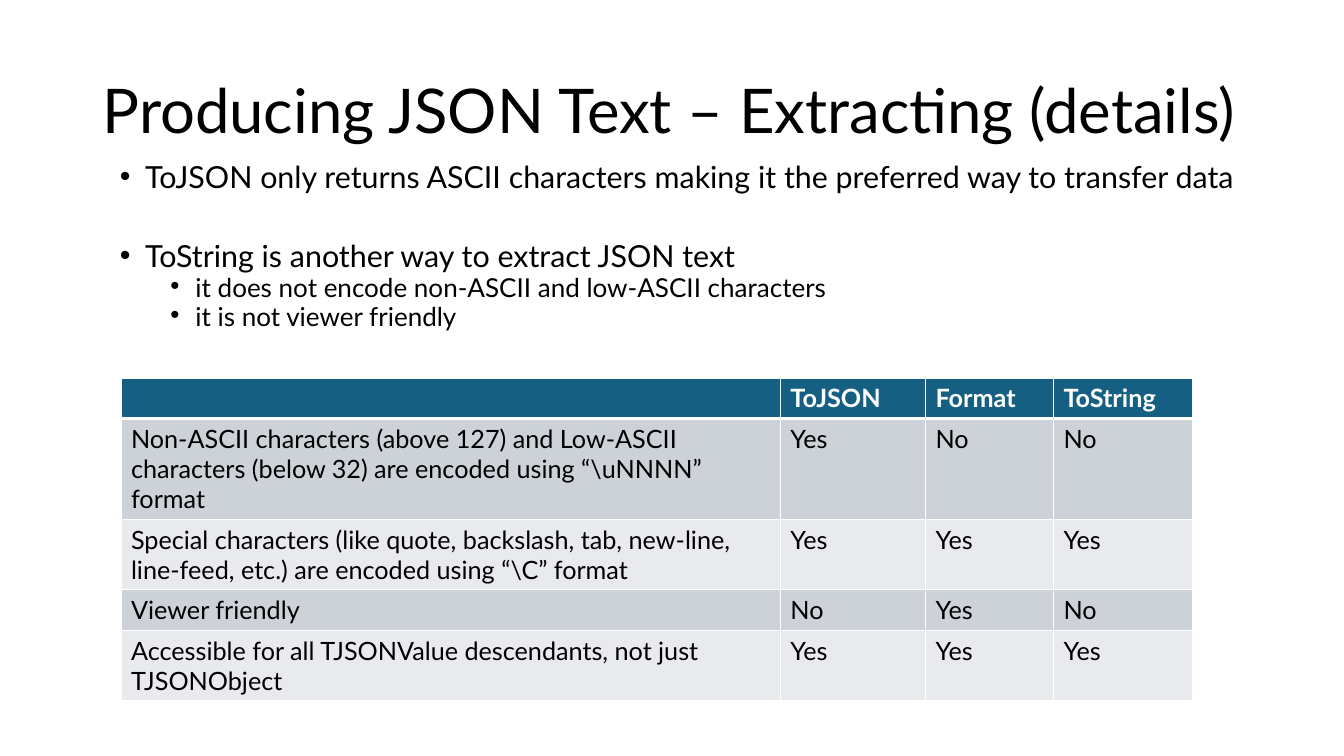
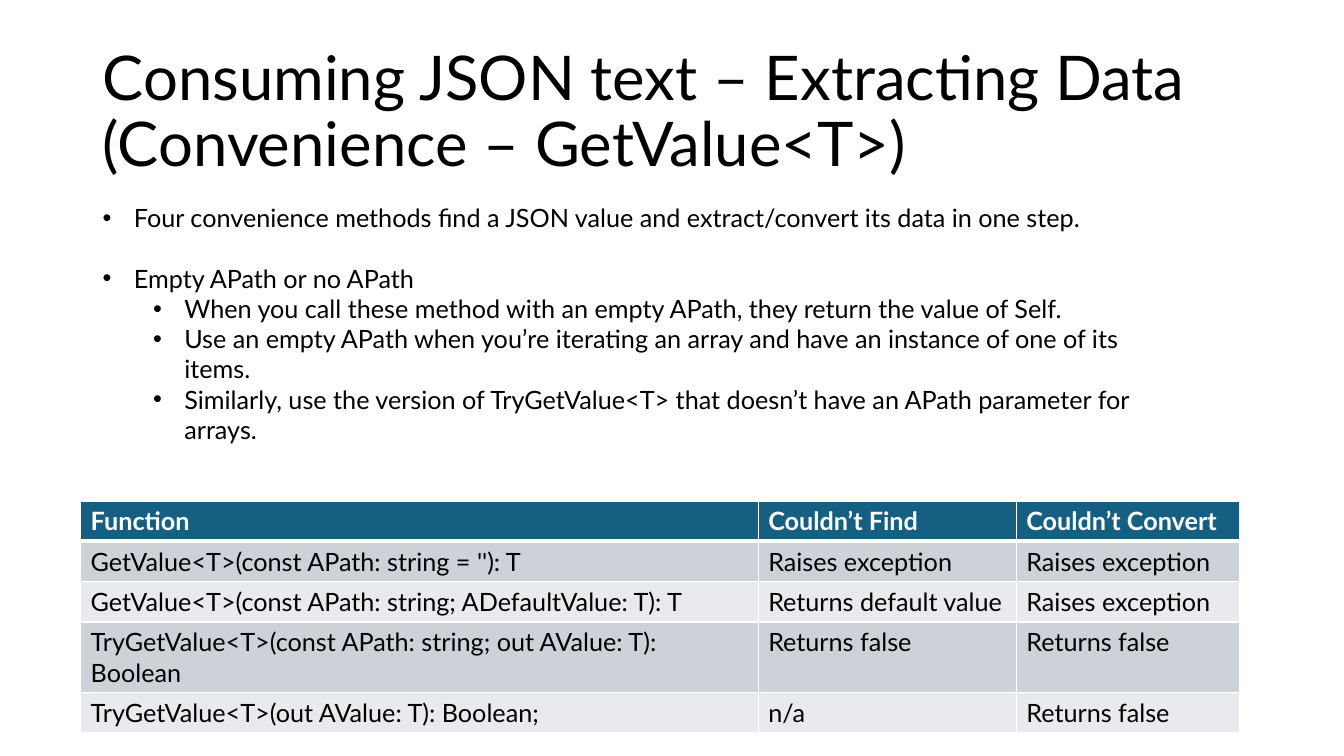
from lxml import etree
from pptx import Presentation
from pptx.dml.color import RGBColor
from pptx.enum import text as te
from pptx.oxml import ns
from pptx.util import Inches, Pt

FONT = "Lato"
BLACK = RGBColor(0x00, 0x00, 0x00)
WHITE = RGBColor(0xFF, 0xFF, 0xFF)
TEAL = RGBColor(0x15, 0x60, 0x82)
BANDS = RGBColor(0xCC, 0xD2, 0xD8), RGBColor(0xE8, 0xEA, 0xED)
TITLE = 0.92, 0.4, 11.5, 1.45
ROW = 0.4

# Each point: level, text, starts a new group.
# Styles hold one value per level; gap is the space before a new group.
SLIDES = [
    dict(
        title="Producing JSON Text – Extracting (details)",
        points=[
            (0, "ToJSON only returns ASCII characters making it the preferred way to transfer data", False),
            (0, "ToString is another way to extract JSON text", True),
            (1, "it does not encode non-ASCII and low-ASCII characters", False),
            (1, "it is not viewer friendly", False),
        ],
        box=(1.09, 1.62, 11.85, 1.91),
        style=dict(sizes=(21.7, 18.6), before=(10, 5), gap=38.2, line=0.7, hang=0.25),
        spot=(1.2, 3.75),
        cols=(6.54, 1.44, 1.27, 1.38),
        rows=[
            ("", "ToJSON", "Format", "ToString"),
            (r"Non-ASCII characters (above 127) and Low-ASCII characters (below 32) are encoded using “\uNNNN” format",
             "Yes", "No", "No"),
            (r"Special characters (like quote, backslash, tab, new-line, line-feed, etc.) are encoded using “\C” format",
             "Yes", "Yes", "Yes"),
            ("Viewer friendly", "No", "Yes", "No"),
            ("Accessible for all TJSONValue descendants, not just TJSONObject", "Yes", "Yes", "Yes"),
        ],
    ),
    dict(
        title="Consuming JSON text – Extracting Data (Convenience – GetValue<T>)",
        points=[
            (0, "Four convenience methods find a JSON value and extract/convert its data in one step.", False),
            (0, "Empty APath or no APath", True),
            (1, "When you call these method with an empty APath, they return the value of Self.", False),
            (1, "Use an empty APath when you’re iterating an array and have an instance of one of its items.", False),
            (1, "Similarly, use the version of TryGetValue<T> that doesn’t have an APath parameter for arrays.", False),
        ],
        box=(0.92, 1.96, 10.55, 3.13),
        style=dict(sizes=(18, 18), before=(0, 0), gap=21.6, line=1.0, hang=0.31),
        spot=(0.8, 4.97),
        cols=(6.72, 2.56, 2.22),
        rows=[
            ("Function", "Couldn’t Find", "Couldn’t Convert"),
            ("GetValue<T>(const APath: string = ''): T", "Raises exception", "Raises exception"),
            ("GetValue<T>(const APath: string; ADefaultValue: T): T", "Returns default value", "Raises exception"),
            ("TryGetValue<T>(const APath: string; out AValue: T): Boolean", "Returns false", "Returns false"),
            ("TryGetValue<T>(out AValue: T): Boolean;", "n/a", "Returns false"),
        ],
    ),
]


def write(para, words, size=18, color=BLACK, bold=False, line=None, before=None):
    run = para.add_run()
    run.text = words
    font = run.font
    font.name, font.size, font.bold = FONT, Pt(size), bold
    font.color.rgb = color
    if line is not None:
        para.line_spacing = line
    if before is not None:
        para.space_before = Pt(before)


def add_box(slide, place, anchor=te.MSO_ANCHOR.TOP):
    frame = slide.shapes.add_textbox(*map(Inches, place)).text_frame
    frame.word_wrap = True
    frame.vertical_anchor = anchor
    return frame


def add_bullet(para, level, hang):
    """Hang a bullet; each level moves in by half an inch."""
    para.level = level
    props = para._p.get_or_add_pPr()
    props.set("marL", str(Inches(hang + 0.5 * level)))
    props.set("indent", str(-Inches(hang)))
    etree.SubElement(props, ns.qn("a:buFont")).set("typeface", "Arial")
    etree.SubElement(props, ns.qn("a:buChar")).set("char", "•")


def add_points(slide, points, box, style):
    frame = add_box(slide, box)
    for i, (level, words, fresh) in enumerate(points):
        para = frame.add_paragraph() if i else frame.paragraphs[0]
        before = style["gap"] if fresh else style["before"][level]
        write(para, words, size=style["sizes"][level], line=style["line"], before=before)
        add_bullet(para, level, style["hang"])


def add_edges(cell, row):
    """Draw white cell edges, thicker below the heading row."""
    props = cell._tc.get_or_add_tcPr()
    widths = dict(L=1, R=1, T=3 if row == 1 else 1, B=3 if row == 0 else 1)
    for i, (side, width) in enumerate(widths.items()):
        edge = etree.Element(ns.qn("a:ln" + side), w=str(Pt(width)))
        fill = etree.SubElement(edge, ns.qn("a:solidFill"))
        etree.SubElement(fill, ns.qn("a:srgbClr")).set("val", str(WHITE))
        props.insert(i, edge)


def add_grid(slide, spot, cols, rows):
    size = sum(cols), ROW * len(rows)
    grid = slide.shapes.add_table(len(rows), len(cols), *map(Inches, spot + size)).table
    grid.horz_banding = False
    for col, width in zip(grid.columns, cols):
        col.width = Inches(width)
    for r, row in enumerate(rows):
        grid.rows[r].height = Inches(ROW)
        head = r == 0
        for c, words in enumerate(row):
            cell = grid.cell(r, c)
            cell.fill.solid()
            cell.fill.fore_color.rgb = TEAL if head else BANDS[(r - 1) % 2]
            add_edges(cell, r)
            if words:
                write(cell.text_frame.paragraphs[0], words,
                      color=WHITE if head else BLACK, bold=head)


def main():
    deck = Presentation()
    deck.slide_width, deck.slide_height = Inches(13.33), Inches(7.5)
    for data in SLIDES:
        slide = deck.slides.add_slide(deck.slide_layouts[6])
        title = add_box(slide, TITLE, te.MSO_ANCHOR.MIDDLE)
        write(title.paragraphs[0], data["title"], size=44, line=0.9)
        add_points(slide, data["points"], data["box"], data["style"])
        add_grid(slide, data["spot"], data["cols"], data["rows"])
    deck.save("out.pptx")


if __name__ == "__main__":
    main()
